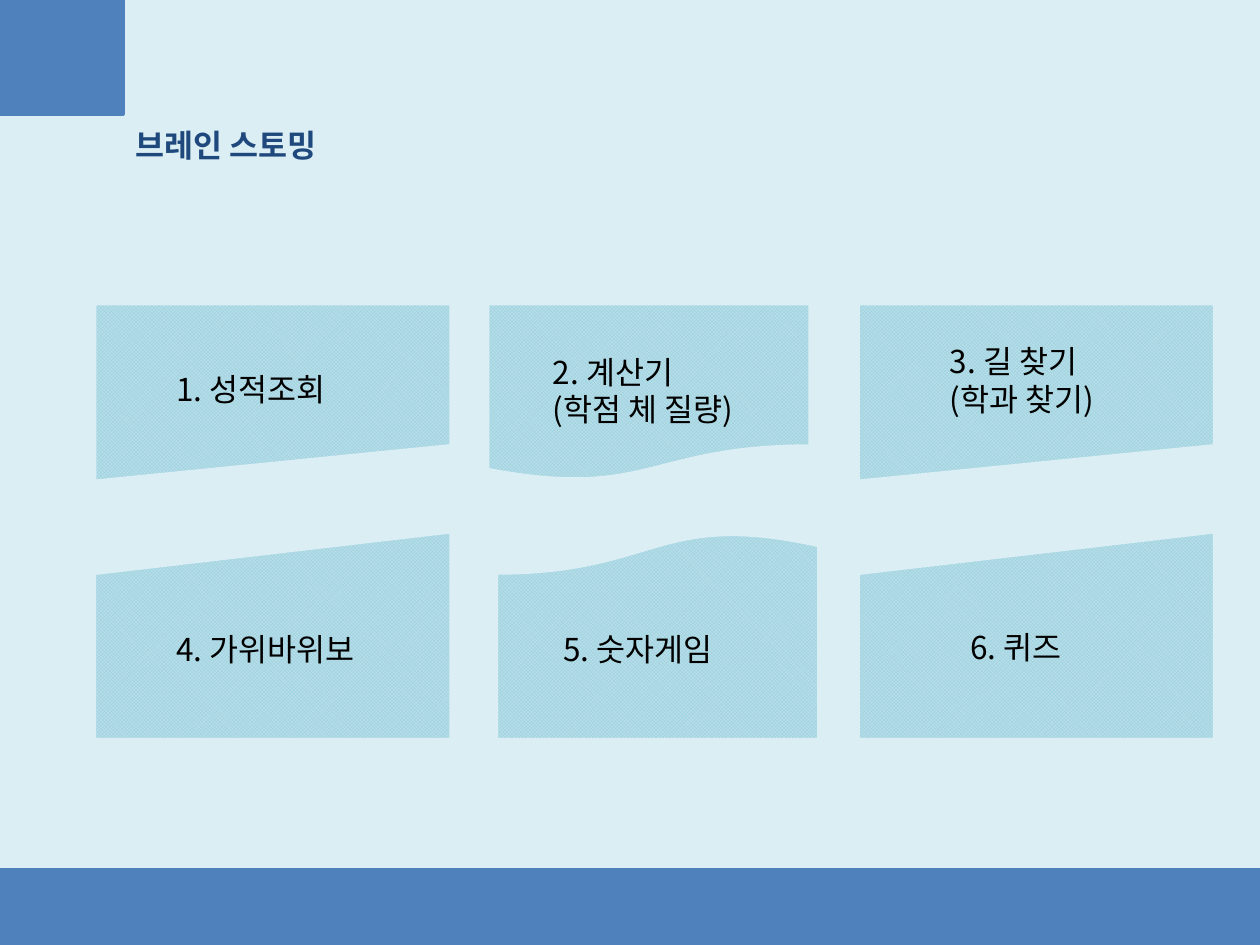
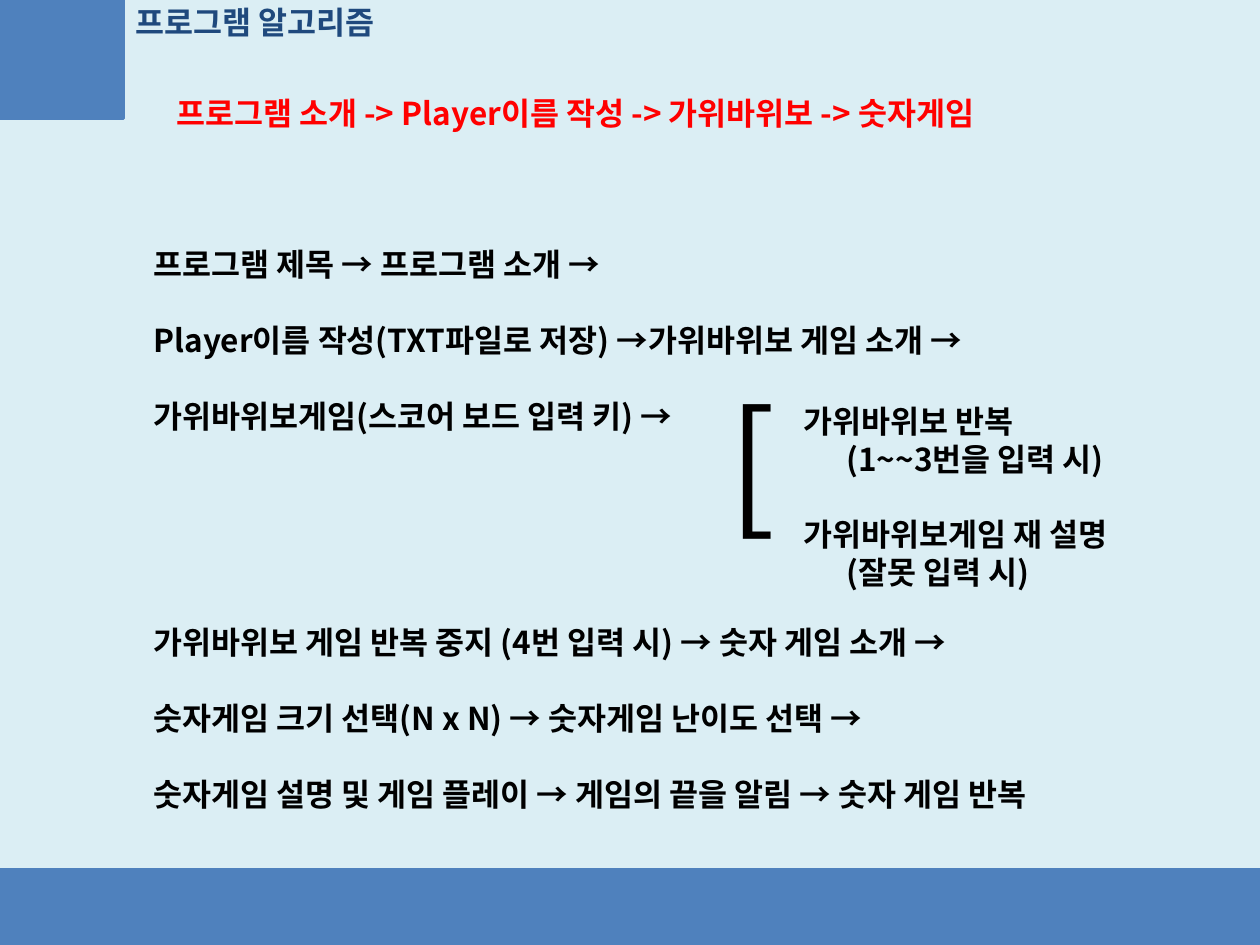
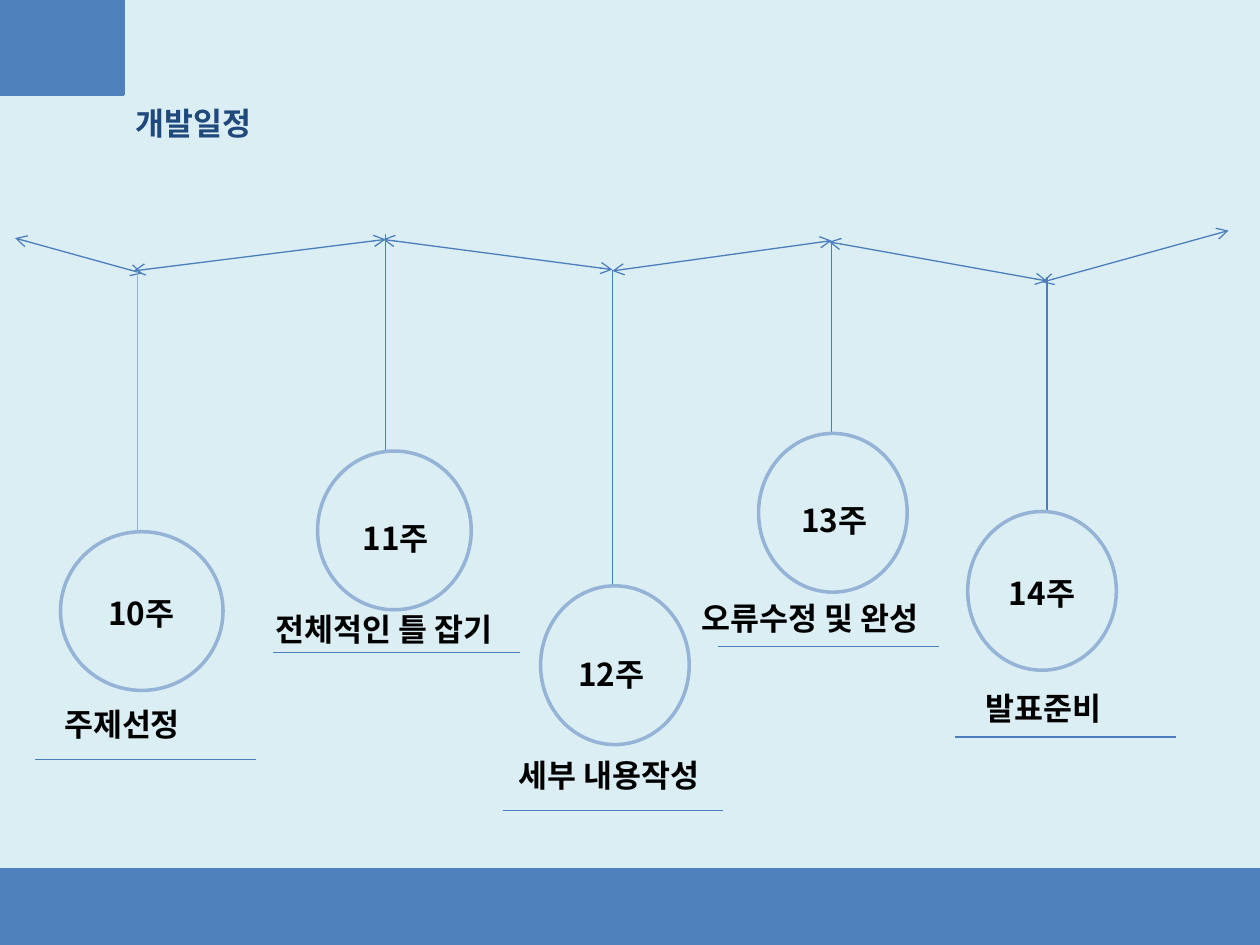
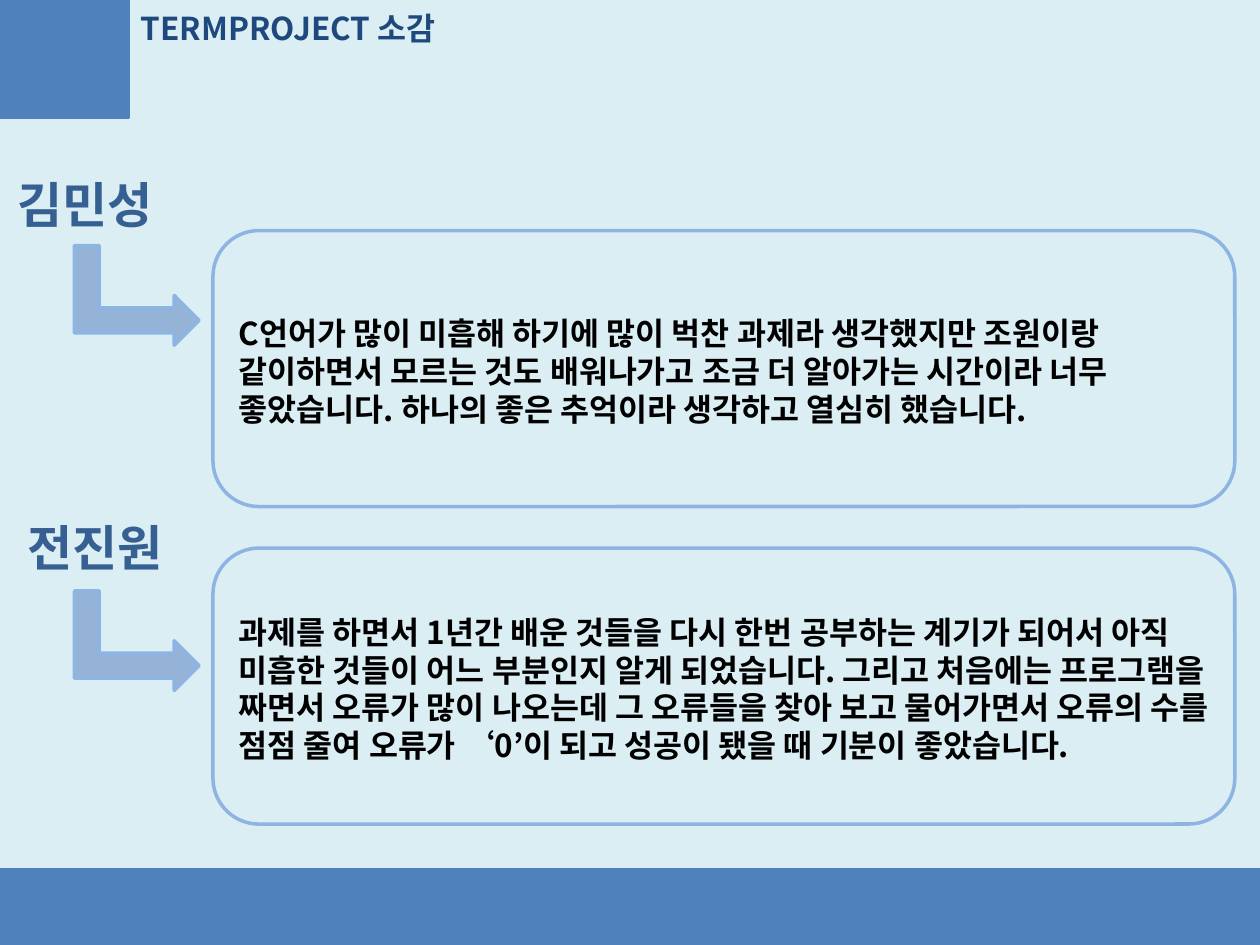
from lxml.etree import SubElement
from pptx import Presentation
from pptx.dml.color import RGBColor
from pptx.enum.dml import MSO_PATTERN
from pptx.enum.shapes import MSO_CONNECTOR, MSO_SHAPE
from pptx.enum.text import MSO_ANCHOR, MSO_AUTO_SIZE, PP_ALIGN
from pptx.oxml.ns import qn
from pptx.util import Inches, Pt

FONT = "Noto Sans CJK KR"
PALE = RGBColor(0xDB, 0xEE, 0xF4)
BLUE = RGBColor(0x4F, 0x81, 0xBD)
NAVY = RGBColor(0x1F, 0x49, 0x7D)
NAME = RGBColor(0x37, 0x60, 0x92)
WIRE = RGBColor(0x4B, 0x7E, 0xBC)
RING = RGBColor(0x95, 0xB3, 0xD7)
EDGE = RGBColor(0x8E, 0xB4, 0xE3)
DOTS = RGBColor(0x93, 0xCD, 0xDD)
TEAL = RGBColor(0xB7, 0xDE, 0xE8)
BLACK = RGBColor(0, 0, 0)
RED = RGBColor(0xFF, 0, 0)


class Deck:
    def __init__(self):
        self.prs = Presentation()
        self.prs.slide_width = Inches(10)
        self.prs.slide_height = Inches(7.5)
        self.slide = None

    def page(self, back=0):
        self.slide = self.prs.slides.add_slide(self.prs.slide_layouts[6])
        self.shape(MSO_SHAPE.RECTANGLE, 0, back, 10, 7.5, PALE, PALE)

    def frame(self, title, x, y, wide, left, top):
        self.shape(MSO_SHAPE.RECTANGLE, left, top, 1.02, 0.94, BLUE, BLUE)
        self.label(x, y, wide, [title], color=NAVY)
        self.shape(MSO_SHAPE.RECTANGLE, 0, 6.9, 10, 0.6, BLUE, BLUE)

    def shape(self, kind, x, y, wide, high, fill, edge, turn=0):
        item = self.slide.shapes.add_shape(
            kind, Inches(x), Inches(y), Inches(wide), Inches(high))
        item.shadow.inherit = False
        item.rotation = turn
        if fill is None:
            item.fill.patterned()
            item.fill.pattern = MSO_PATTERN.SMALL_CHECKER_BOARD
            item.fill.fore_color.rgb = DOTS
            item.fill.back_color.rgb = TEAL
        else:
            item.fill.solid()
            item.fill.fore_color.rgb = fill
        item.line.color.rgb = edge
        item.line.width = Pt(2)
        return item

    def text(self, box, lines, size=18, color=BLACK, bold=True):
        box.word_wrap = True
        box.margin_top = Inches(0.05 + size / 1000)
        box.margin_bottom = Inches(max(0.05 - size / 1000, 0))
        for num, line in enumerate(lines):
            words, gap, dent = line if isinstance(line, tuple) else (line, 0, 0)
            para = box.paragraphs[0] if num == 0 else box.add_paragraph()
            para.alignment = PP_ALIGN.LEFT
            para.line_spacing = Pt(size * 1.2)
            if gap:
                para.space_before = Pt(size * 1.2 * gap)
            if dent:
                para._p.get_or_add_pPr().set("marL", str(Inches(dent)))
            run = para.add_run()
            run.text = words
            run.font.name = FONT
            run.font.size = Pt(size)
            run.font.bold = bold
            run.font.color.rgb = color
            SubElement(run._r.get_or_add_rPr(), qn("a:ea")).set("typeface", FONT)

    def label(self, x, y, wide, lines, high=0.4, **style):
        item = self.slide.shapes.add_textbox(
            Inches(x), Inches(y), Inches(wide), Inches(high))
        self.text(item.text_frame, lines, **style)
        item.text_frame.auto_size = MSO_AUTO_SIZE.SHAPE_TO_FIT_TEXT

    def panel(self, x, y, wide, high, words):
        item = self.shape(MSO_SHAPE.ROUNDED_RECTANGLE, x, y, wide, high, PALE, EDGE)
        item.text_frame.vertical_anchor = MSO_ANCHOR.MIDDLE
        self.text(item.text_frame, [words])

    def wire(self, x1, y1, x2, y2, color=WIRE, tips=False):
        item = self.slide.shapes.add_connector(
            MSO_CONNECTOR.STRAIGHT, Inches(x1), Inches(y1), Inches(x2), Inches(y2))
        item.line.color.rgb = color
        item.line.width = Pt(0.75)
        if tips:
            for end in ("a:headEnd", "a:tailEnd"):
                SubElement(item.line._get_or_add_ln(), qn(end)).set("type", "arrow")
        SubElement(item._element.spPr, qn("a:effectLst"))


def ideas(deck):
    deck.page()
    deck.frame("브레인 스토밍", 0.98, 0.93, 2.91, -0.04, -0.03)
    slant, wave = MSO_SHAPE.FLOWCHART_MANUAL_INPUT, MSO_SHAPE.FLOWCHART_DOCUMENT
    rows = [(2.41, 1.41, [(slant, 0.75, 2.83, 180), (wave, 3.87, 2.56, 0),
                          (slant, 6.81, 2.83, 180)]),
            (4.22, 1.65, [(slant, 0.75, 2.83, 0), (wave, 3.94, 2.56, 180),
                          (slant, 6.81, 2.83, 0)])]
    for y, high, cards in rows:
        for kind, x, wide, turn in cards:
            deck.shape(kind, x, y, wide, high, None, PALE, turn)
    notes = [(1.3, 2.87, ["1. 성적조회"]),
             (4.29, 2.73, ["2. 계산기", "(학점 체 질량)"]),
             (7.44, 2.65, ["3. 길 찾기", "(학과 찾기)"]),
             (1.3, 4.93, ["4. 가위바위보"]),
             (4.37, 4.93, ["5. 숫자게임"]),
             (7.6, 4.92, ["6. 퀴즈"])]
    for x, y, lines in notes:
        deck.label(x, y, 1.81, lines, 0.1 + 0.3 * len(lines), bold=False)


def steps(deck):
    deck.page()
    deck.frame("프로그램 알고리즘", 0.98, -0.04, 3.83, -0.04, 0)
    deck.label(1.12, 1.88, 8.8, [
        "프로그램 제목 → 프로그램 소개 →",
        ("Player이름 작성(TXT파일로 저장) →가위바위보 게임 소개 →", 1, 0),
        ("가위바위보게임(스코어 보드 입력 키) →", 1, 0),
        ("가위바위보 게임 반복 중지 (4번 입력 시) → 숫자 게임 소개 →", 5, 0),
        ("숫자게임 크기 선택(N x N) → 숫자게임 난이도 선택 →", 1, 0),
        ("숫자게임 설명 및 게임 플레이 → 게임의 끝을 알림 → 숫자 게임 반복", 1, 0),
    ], 4.64)
    deck.label(1.3, 0.68, 7.32,
               ["프로그램 소개 -> Player이름 작성 -> 가위바위보 -> 숫자게임"], color=RED)
    deck.label(5.68, 2.85, 2.61, ["["], 1.45, size=80, bold=False)
    deck.label(6.28, 3.12, 3.7, [
        "가위바위보 반복",
        ("(1~~3번을 입력 시)", 0, 0.34),
        ("가위바위보게임 재 설명", 1, 0),
        ("(잘못 입력 시)", 0, 0.34),
    ], 1.62)


def plan(deck):
    deck.page(-0.21)
    deck.frame("개발일정", 0.98, 0.76, 2.91, -0.04, -0.19)
    for ends in [(1.06, 2.15, 3.06, 1.9), (3.04, 1.9, 4.86, 2.14),
                 (4.86, 2.15, 6.6, 1.91), (0.12, 1.89, 1.13, 2.17),
                 (6.58, 1.92, 8.31, 2.23), (8.27, 2.24, 9.75, 1.83)]:
        deck.wire(*ends, tips=True)
    weeks = [("10주", (1.09, 2.15, 4.22), (0.48, 4.22, 1.29), (0.76, 4.65), RING),
             ("11주", (3.06, 1.86, 3.64), (2.52, 3.58, 1.22), (2.78, 4.05), WIRE),
             ("12주", (4.86, 2.14, 4.65), (4.29, 4.65, 1.18), (4.49, 5.13), WIRE),
             ("13주", (6.6, 1.91, 4.22), (6.02, 3.44, 1.18), (6.26, 3.91), WIRE),
             ("14주", (8.31, 2.2, 4.06), (7.68, 4.06, 1.18), (7.91, 4.49), WIRE)]
    for week, (x, top, end), (left, y, wide), spot, color in weeks:
        deck.wire(x, top, x, end, color)
        deck.shape(MSO_SHAPE.OVAL, left, y, wide, 1.26, PALE, RING)
        deck.label(*spot, 0.87, [week])
    tasks = [("주제선정", 0.41, 5.53, 1.42, 0.28, 2.03, 6.03),
             ("전체적인 틀 잡기", 2.09, 4.77, 2.33, 2.17, 4.13, 5.18),
             ("세부 내용작성", 4.02, 5.93, 1.84, 3.99, 5.74, 6.43),
             ("오류수정 및 완성", 5.47, 4.69, 2.22, 5.7, 7.45, 5.13),
             ("발표준비", 7.72, 5.4, 1.42, 7.58, 9.33, 5.85)]
    for task, x, y, wide, left, right, base in tasks:
        deck.wire(left, base, right, base)
        deck.label(x, y, wide, [task])


def views(deck):
    deck.page()
    people = [
        ("김민성", 0.04, 1.31, 1.83, 1.85,
         "C언어가 많이 미흡해 하기에 많이 벅찬 과제라 생각했지만 조원이랑 "
         "같이하면서 모르는 것도 배워나가고 조금 더 알아가는 시간이라 너무 "
         "좋았습니다. 하나의 좋은 추억이라 생각하고 열심히 했습니다."),
        ("전진원", 0.12, 4.03, 4.35, 4.59,
         "과제를 하면서 1년간 배운 것들을 다시 한번 공부하는 계기가 되어서 아직 "
         "미흡한 것들이 어느 부분인지 알게 되었습니다. 그리고 처음에는 "
         "프로그램을 짜면서 오류가 많이 나오는데 그 오류들을 찾아 보고 "
         "물어가면서 오류의 수를 점점 줄여 오류가 ‘0’이 되고 성공이 됐을 때 "
         "기분이 좋았습니다."),
    ]
    for name, x, y, top, bend, words in people:
        deck.panel(1.69, top, 8.11, 2.19, words)
        deck.label(x, y, 2.91, [name], 0.57, size=28, color=NAME)
        deck.shape(MSO_SHAPE.BENT_UP_ARROW, 0.69, bend, 0.79, 0.99, RING, EDGE, 90)
    deck.frame("TERMPROJECT 소감", 1.02, 0, 2.91, 0, -0.01)


def main():
    deck = Deck()
    for build in (ideas, steps, plan, views):
        build(deck)
    deck.prs.save("out.pptx")


if __name__ == "__main__":
    main()
